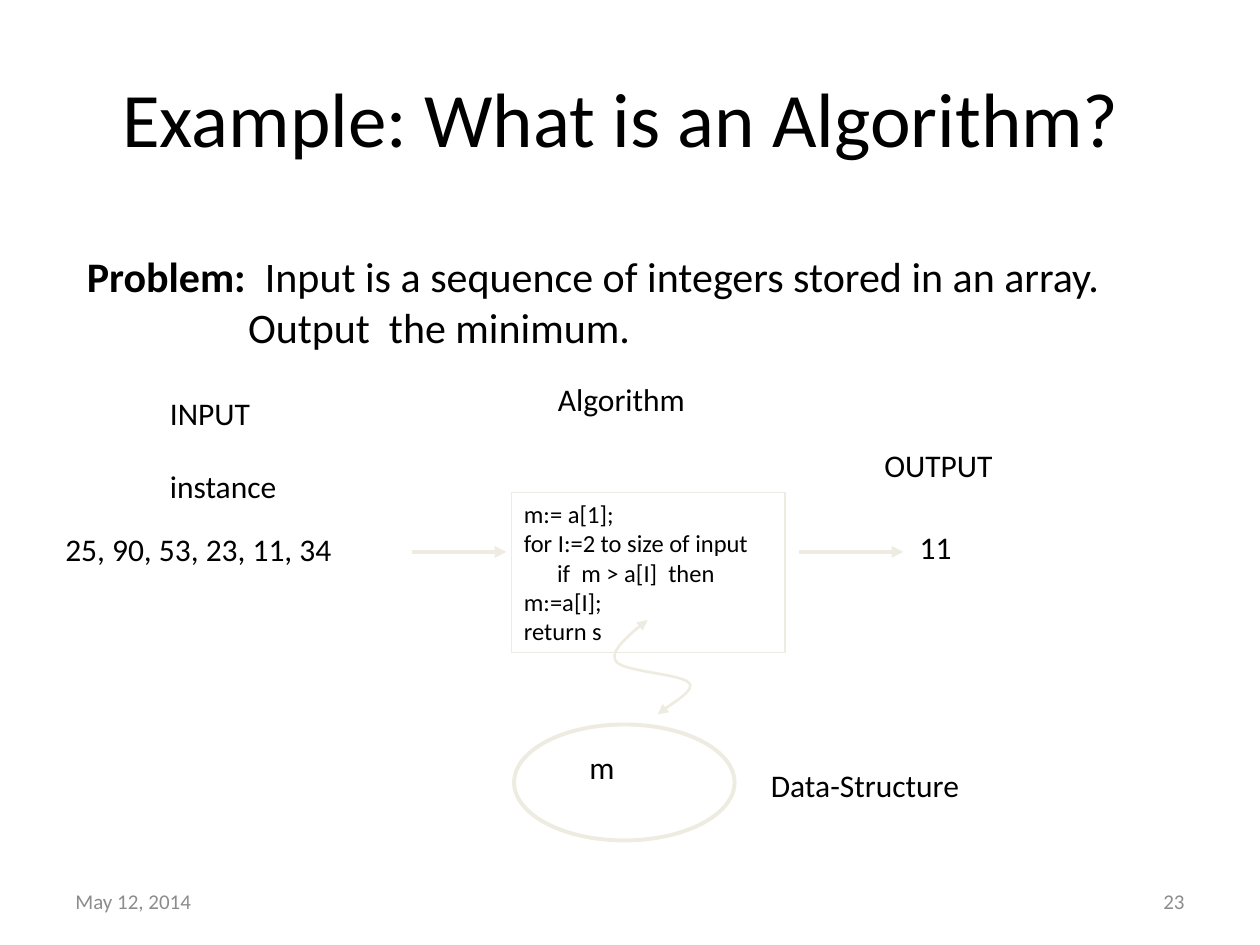
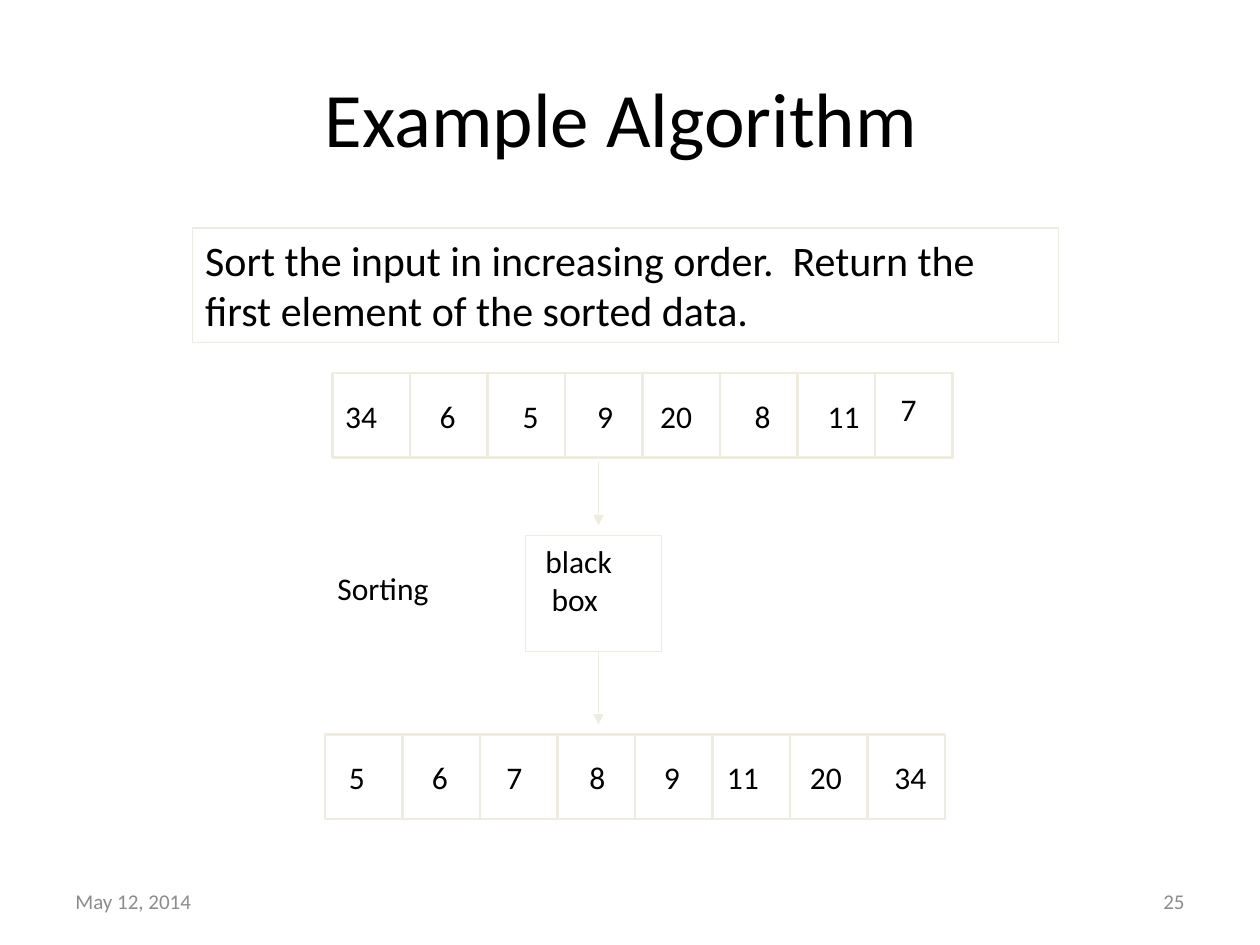
"""Build two slides that introduce algorithms with small diagrams."""
from dataclasses import dataclass

from lxml.etree import SubElement
from pptx import Presentation
from pptx.dml.color import RGBColor as RGB
from pptx.enum.shapes import MSO_CONNECTOR as Link, MSO_SHAPE as Shape
from pptx.enum.text import MSO_ANCHOR as Anchor, PP_ALIGN as Align
from pptx.oxml.ns import qn
from pptx.util import Inches, Pt


@dataclass(frozen=True)
class Theme:
    font: str = "Calibri"
    ink: RGB = RGB(0x00, 0x00, 0x00)
    muted: RGB = RGB(0x8C, 0x8C, 0x8C)
    line: RGB = RGB(0xEE, 0xEC, 0xE1)
    title: int = 44
    lead: int = 24
    body: int = 18
    code: int = 14
    footer: int = 12
    thin: float = 0.75
    medium: float = 1.5
    thick: float = 2.25


class Deck:
    def __init__(self, theme):
        self.theme = theme
        self.prs = Presentation()
        self.prs.slide_width, self.prs.slide_height = Inches(10), Inches(7.5)

    def slide(self, title, number):
        t = self.theme
        s = self.prs.slides.add_slide(self.prs.slide_layouts[5])
        self.shapes = s.shapes
        sp = s.shapes.title
        sp.left, sp.top, sp.width, sp.height = map(Inches, (0.5, 0.3, 9, 1.25))
        self.set_text(sp, [title], t.title, align=Align.CENTER, anchor=Anchor.MIDDLE)
        for left, text, align in ((0.5, "May 12, 2014", Align.LEFT),
                                  (7.17, number, Align.RIGHT)):
            self.text(left, 6.95, 2.33, 0.4, [text], t.footer, color=t.muted,
                      align=align, anchor=Anchor.MIDDLE)

    def set_text(self, sp, lines, size=None, color=None, align=Align.LEFT,
                 anchor=Anchor.TOP, indents=()):
        t = self.theme
        tf = sp.text_frame
        tf.word_wrap, tf.vertical_anchor = True, anchor
        for i, line in enumerate(lines):
            p = tf.add_paragraph() if i else tf.paragraphs[0]
            p.alignment = align
            if indents:
                p._p.get_or_add_pPr().set("marL", str(Inches(indents[i])))
            for text, bold in [(line, False)] if isinstance(line, str) else line:
                r = p.add_run()
                r.text = text
                style = {"name": t.font, "size": Pt(size or t.body), "bold": bold}
                for key, value in style.items():
                    setattr(r.font, key, value)
                r.font.color.rgb = color or t.ink

    def text(self, left, top, width, height, lines, size=None, **style):
        sp = self.shapes.add_textbox(*map(Inches, (left, top, width, height)))
        self.set_text(sp, lines, size, **style)

    def outline(self, sp, weight):
        sp.shadow.inherit = False
        sp.fill.background()
        self.stroke(sp, weight)

    def stroke(self, sp, weight, ends=()):
        sp.line.color.rgb = self.theme.line
        sp.line.width = Pt(weight)
        for end in ends:
            SubElement(sp.line._get_or_add_ln(), qn(f"a:{end}"), type="triangle")

    def shape(self, kind, left, top, width, height, weight, lines=(), size=None, **style):
        sp = self.shapes.add_shape(kind, *map(Inches, (left, top, width, height)))
        self.outline(sp, weight)
        self.set_text(sp, lines, size, **style)

    def arrow(self, x1, y1, x2, y2, weight):
        sp = self.shapes.add_connector(Link.STRAIGHT, *map(Inches, (x1, y1, x2, y2)))
        self.stroke(sp, weight, ["tailEnd"])
        SubElement(sp._element.spPr, qn("a:effectLst"))

    def curve(self, start, segments, weight, steps=12):
        points, here = [], start
        for a, b, end in segments:
            for i in range(1, steps + 1):
                u = i / steps
                v = 1 - u
                points.append([Inches(v**3 * p0 + 3 * v * v * u * p1
                                      + 3 * v * u * u * p2 + u**3 * p3)
                               for p0, p1, p2, p3 in zip(here, a, b, end)])
            here = end
        builder = self.shapes.build_freeform(*map(Inches, start))
        builder.add_line_segments(points, close=False)
        sp = builder.convert_to_shape()
        self.outline(sp, weight)
        self.stroke(sp, weight, ["headEnd", "tailEnd"])

    def array(self, left, top, values):
        outer, self.shapes = self.shapes, self.shapes.add_group_shape().shapes
        for i, (text, x, y) in enumerate(values):
            self.shape(Shape.RECTANGLE, left + 0.615 * i, top, 0.615, 0.67,
                       self.theme.medium)
            self.text(x, y, 0.2 + 0.16 * len(text), 0.43, [text])
        self.shapes = outer


def minimum_slide(deck):
    t = deck.theme
    deck.slide("Example: What is an Algorithm? ", "23")
    deck.text(0.59, 1.94, 9.41, 0.9,
              [[("Problem:", True),
                ("  Input is a sequence of integers stored in an array.", False)],
               "Output  the minimum."], t.lead, indents=(0, 1.28))
    for text, left, top, width in (
            ("25, 90, 53, 23, 11, 34", 0.42, 4.16, 2.56),
            ("INPUT", 1.25, 3.08, 0.95),
            ("OUTPUT", 6.92, 3.49, 1.23),
            ("instance", 1.25, 3.66, 1.13),
            ("11", 7.2, 4.14, 0.48),
            ("Algorithm", 4.33, 2.97, 1.26),
            ("Data-Structure", 6.02, 6.03, 1.83),
            ("m", 4.58, 5.89, 0.41)):
        deck.text(left, top, width, 0.4, [text])
    for start, end in ((3.27, 4.02), (6.34, 7.17)):
        deck.arrow(start, 4.38, end, 4.38, t.thick)
    deck.shape(Shape.RECTANGLE, 4.06, 3.91, 2.17, 1.27, t.thin,
               ["m:= a[1];", "for I:=2 to size of input",
                "      if  m > a[I]  then  m:=a[I];", "return s"], t.code)
    deck.curve((5.14, 4.92),
               [((4.99, 5.04), (4.83, 5.17), (4.89, 5.25)),
                ((4.94, 5.33), (5.42, 5.35), (5.47, 5.42)),
                ((5.53, 5.49), (5.26, 5.62), (5.22, 5.67))], t.medium)
    deck.shape(Shape.OVAL, 4.08, 5.75, 1.75, 0.92, t.thick)


def sorting_slide(deck):
    t = deck.theme
    deck.slide("Example Algorithm ", "25")
    deck.shape(Shape.RECTANGLE, 1.53, 1.81, 6.87, 0.91, t.thin,
               ["Sort the input in increasing order.  Return the",
                "first element of the sorted data."], t.lead)
    deck.array(2.64, 2.96, [
        ("34", 2.64, 3.1), ("6", 3.39, 3.1), ("5", 4.05, 3.1), ("9", 4.64, 3.1),
        ("20", 5.14, 3.1), ("8", 5.89, 3.1), ("11", 6.47, 3.1), ("7", 7.05, 3.05)])
    deck.array(2.58, 5.83, [
        (text, x, 5.97) for text, x in (
            ("5", 2.67), ("6", 3.33), ("7", 3.92), ("8", 4.58),
            ("9", 5.17), ("11", 5.67), ("20", 6.33), ("34", 7))])
    deck.text(2.58, 4.47, 1.08, 0.43, ["Sorting"])
    deck.shape(Shape.RECTANGLE, 4.17, 4.25, 1.08, 0.92, t.thin,
               ["black", "box"], indents=(0.06, 0.11))
    for start, end in ((3.67, 4.17), (5.17, 5.75)):
        deck.arrow(4.75, start, 4.75, end, t.thin)


def main():
    deck = Deck(Theme())
    minimum_slide(deck)
    sorting_slide(deck)
    deck.prs.save("out.pptx")


if __name__ == "__main__":
    main()
